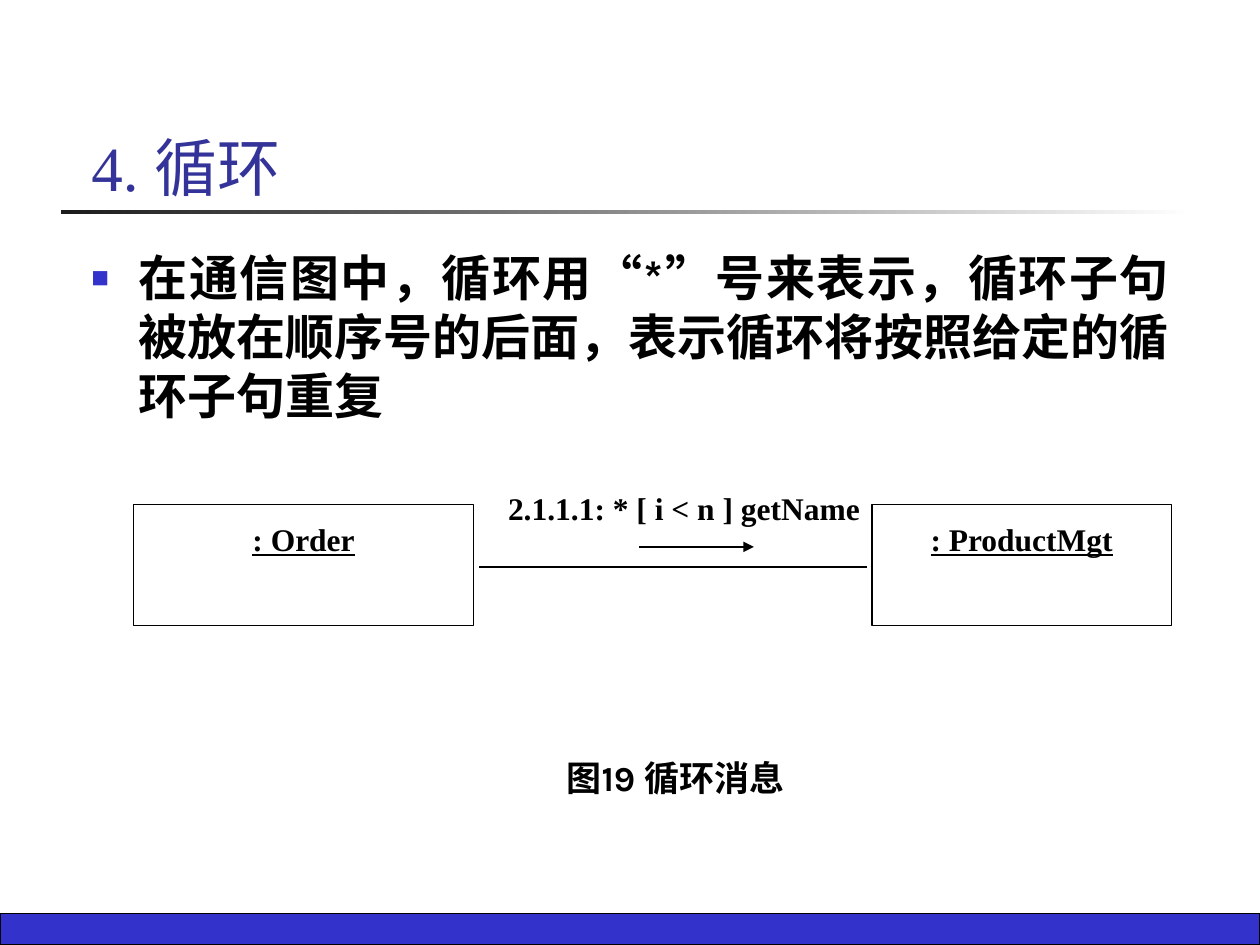
from pptx import Presentation
from pptx.dml.color import RGBColor
from pptx.enum.shapes import MSO_CONNECTOR as Line, MSO_SHAPE as Shape
from pptx.enum.text import MSO_ANCHOR as Anchor, MSO_AUTO_SIZE as Auto, PP_ALIGN as Align
from pptx.oxml.ns import qn
from pptx.util import Pt
from lxml.etree import SubElement as Sub

BLACK = RGBColor(0, 0, 0)
WHITE = RGBColor(255, 255, 255)
COAL = RGBColor(0x1C, 0x1C, 0x1C)
BLUE = RGBColor(0x33, 0x33, 0xCC)
NAVY = RGBColor(0x33, 0x33, 0x99)
SERIF, SANS = "Times New Roman", "Karla"


def write(frame, text, size, face, align, color=BLACK, bold=True, line=False):
    frame.word_wrap = True
    frame.auto_size = Auto.NONE
    para = frame.paragraphs[0]
    para.text = text
    para.alignment = align
    font = para.font
    font.size, font.name, font.bold, font.underline = Pt(size), face, bold, line
    font.color.rgb = color
    return para


def inset(frame, left, top, right, bottom):
    frame.margin_left, frame.margin_top = Pt(left), Pt(top)
    frame.margin_right, frame.margin_bottom = Pt(right), Pt(bottom)


def place(shape, box):
    shape.left, shape.top, shape.width, shape.height = map(Pt, box)


def add_rect(slide, box, fill):
    rect = slide.shapes.add_shape(Shape.RECTANGLE, *map(Pt, box))
    rect.shadow.inherit = False
    rect.fill.solid()
    rect.fill.fore_color.rgb = fill
    rect.line.color.rgb = BLACK
    rect.line.width = Pt(0.75)
    return rect


def add_line(slide, start, end, arrow=False):
    line = slide.shapes.add_connector(Line.STRAIGHT, *map(Pt, start + end))
    line.line.color.rgb = BLACK
    line.line.width = Pt(0.75)
    if arrow:
        Sub(line.line._get_or_add_ln(), qn("a:tailEnd"), type="triangle")
    Sub(line._element.spPr, qn("a:effectLst"))


def add_trim(slide, foot, rule):
    add_rect(slide, foot, BLUE)
    bar = add_rect(slide, rule, WHITE)
    bar.line.fill.background()
    bar.fill.gradient()
    bar.fill.gradient_angle = 0
    for stop, color, spot in zip(bar.fill.gradient_stops, (COAL, WHITE), (0, 1)):
        stop.color.rgb = color
        stop.position = spot


def add_title(slide, box, text):
    title = slide.shapes.title
    place(title, box)
    title.text_frame.vertical_anchor = Anchor.BOTTOM
    write(title.text_frame, text, 36, SERIF, Align.LEFT, NAVY, False)


def add_body(slide, box, text):
    body = slide.placeholders[1]
    place(body, box)
    frame = body.text_frame
    props = frame.paragraphs[0]._p.get_or_add_pPr()
    props.set("marL", str(Pt(27)))
    props.set("indent", str(Pt(-27)))
    tint = Sub(props, qn("a:buClr"))
    Sub(tint, qn("a:srgbClr"), val=str(BLUE))
    Sub(props, qn("a:buSzPct"), val="60000")
    Sub(props, qn("a:buChar"), char="■")
    para = write(frame, text, 28, SANS, Align.JUSTIFY)
    para.space_before = Pt(0)


def add_node(slide, box, text):
    node = add_rect(slide, box, WHITE)
    frame = node.text_frame
    frame.vertical_anchor = Anchor.TOP
    inset(frame, 7.2, 8.64, 7.2, 3.6)
    write(frame, text, 18, SERIF, Align.CENTER, line=True)


def add_label(slide, box, text, size, face, align):
    label = slide.shapes.add_textbox(*map(Pt, box))
    write(label.text_frame, text, size, face, align)
    return label


def add_chat(slide, box):
    left, top, width, high = box
    add_node(slide, (left, top, 194.4, high), ": Order")
    add_node(slide, (left + width - 171, top, 171, high), ": ProductMgt")
    link, hint = top + 35.5, top + 24
    add_line(slide, (left + 197.5, link), (left + 419, link))
    add_line(slide, (left + 289, hint), (left + 354.5, hint), True)
    text = "2.1.1.1: * [ i < n ] getName"
    spot = (left + 214, top - 9, 264, 27)
    label = add_label(slide, spot, text, 18, SERIF, Align.JUSTIFY)
    inset(label.text_frame, 0, 0, 0, 0)


def main():
    deck = Presentation()
    deck.slide_width, deck.slide_height = Pt(720), Pt(540)
    slide = deck.slides.add_slide(deck.slide_layouts[1])
    add_trim(slide, (0, 522, 720, 18), (34.8, 120, 648, 2.25))
    add_title(slide, (45, 24, 630, 96), "4. 循环")
    add_body(slide, (45, 138, 630, 336),
             "在通信图中，循环用“*”号来表示，循环子句被放在顺序号的后面，"
             "表示循环将按照给定的循环子句重复")
    add_chat(slide, (76.3, 288.5, 593, 69))
    add_label(slide, (247, 428.5, 278, 31), "图19 循环消息", 20, SANS, Align.CENTER)
    deck.save("out.pptx")


if __name__ == "__main__":
    main()
